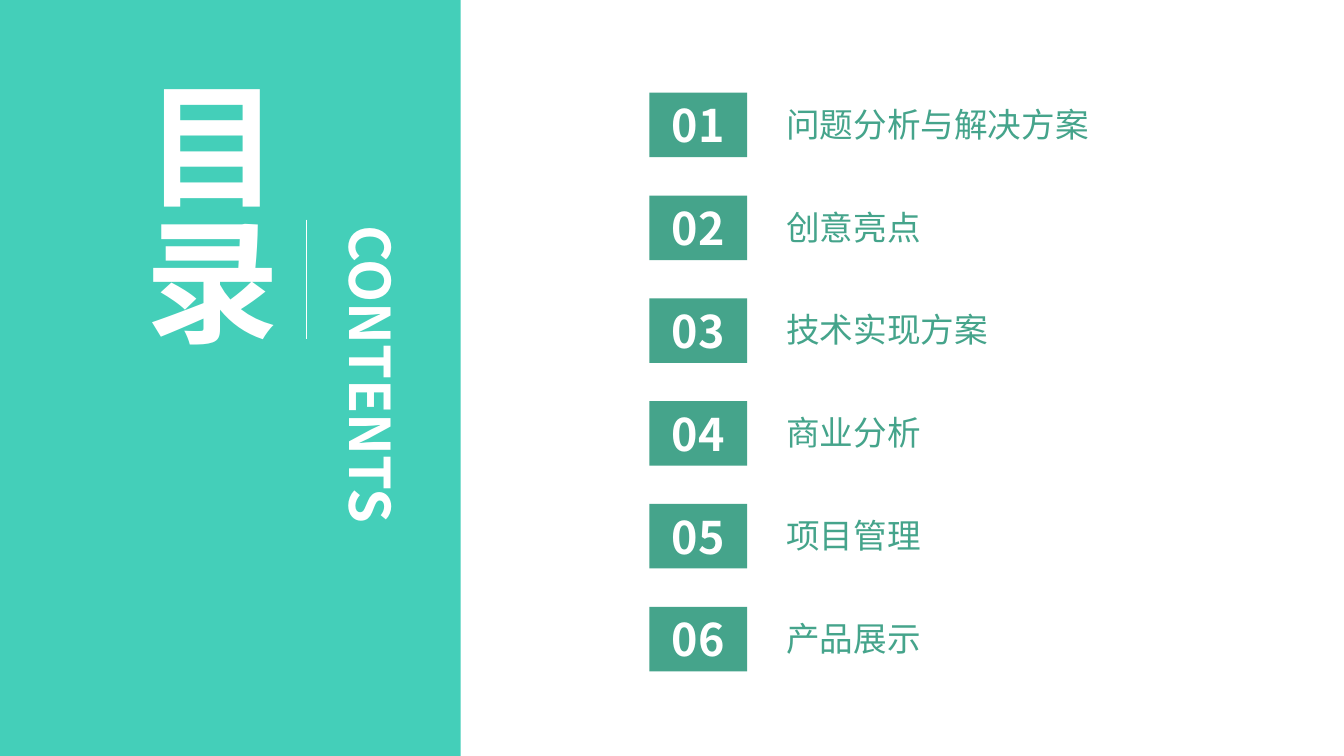
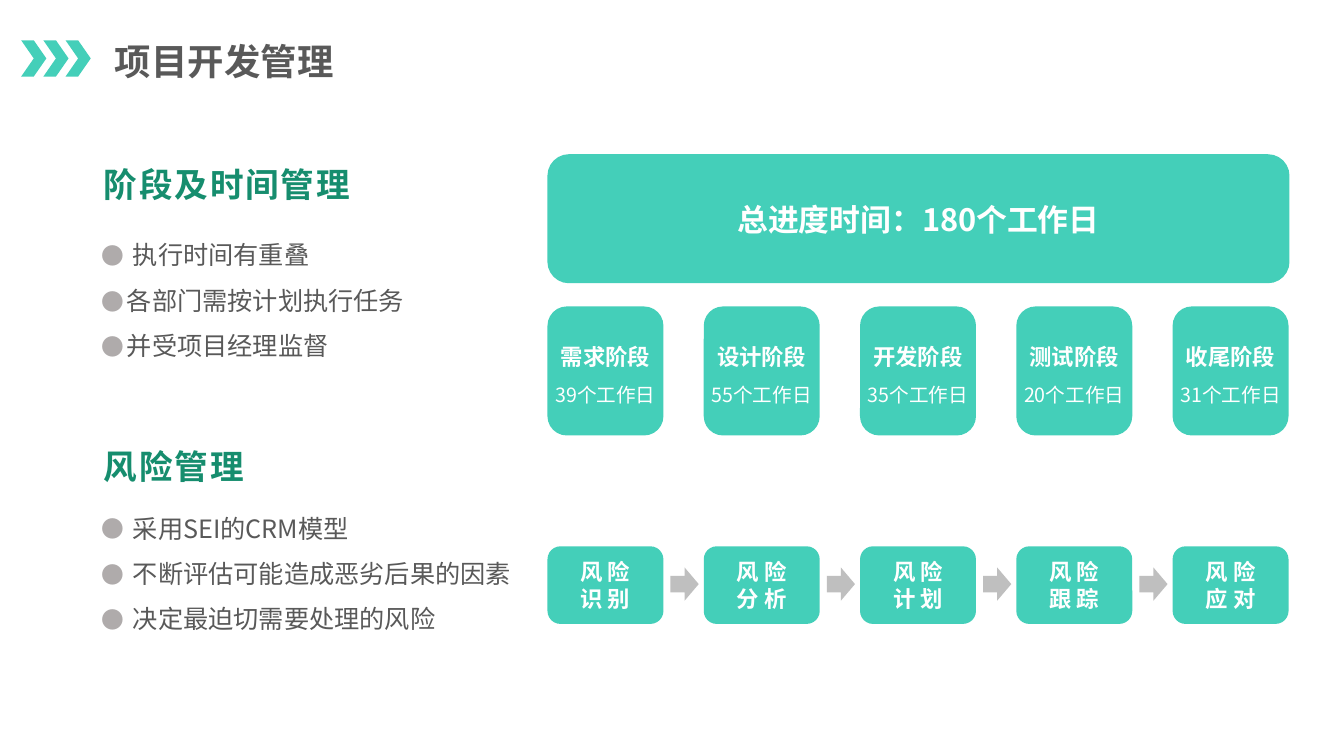
from dataclasses import dataclass

import pptx
import pptx.dml.color
import pptx.enum.shapes
import pptx.enum.text
import pptx.oxml.ns
import pptx.util
from lxml import etree

Inches = pptx.util.Inches
Pt = pptx.util.Pt
qn = pptx.oxml.ns.qn
Shape = pptx.enum.shapes.MSO_SHAPE
Align = pptx.enum.text.PP_ALIGN
Anchor = pptx.enum.text.MSO_ANCHOR
AutoSize = pptx.enum.text.MSO_AUTO_SIZE


@dataclass(frozen=True)
class Theme:
    font: str = "Noto Sans CJK SC"
    teal: str = "44CFB9"
    green: str = "45A48B"
    dark_green: str = "168D6E"
    gray: str = "595959"
    bullet_gray: str = "AFABAB"
    arrow_gray: str = "BFBFBF"
    white: str = "FFFFFF"
    display_size: int = 96
    subtitle_size: int = 40
    number_size: int = 32
    title_size: int = 26
    heading_size: int = 24
    banner_size: int = 22
    body_size: int = 18
    card_size: int = 16
    note_size: int = 14


THEME = Theme()


def rgb(color):
    return pptx.dml.color.RGBColor.from_string(color)


class Deck:
    def __init__(self, theme):
        self.theme = theme
        self.presentation = pptx.Presentation()
        self.presentation.slide_width = Inches(13.33)
        self.presentation.slide_height = Inches(7.5)
        self.slide = None

    def new_slide(self):
        self.slide = self.presentation.slides.add_slide(
            self.presentation.slide_layouts[6])

    def add_run(self, paragraph, text, size, color, bold=False, spacing=0):
        run = paragraph.add_run()
        run.text = text
        run.font.size = Pt(size)
        run.font.bold = bold
        run.font.color.rgb = rgb(color)
        run.font.name = self.theme.font
        properties = run.font._element
        etree.SubElement(properties, qn("a:ea"), typeface=self.theme.font)
        if spacing:
            properties.set("spc", str(round(spacing * 100)))

    def block(self, preset, left, top, width, height, color, lines=(),
              space_before=0, top_inset=0):
        """Filled shape with centred white lines, each (text, size, bold)."""
        shape = self.slide.shapes.add_shape(
            preset, Inches(left), Inches(top), Inches(width), Inches(height))
        shape.shadow.inherit = False
        shape.fill.solid()
        shape.fill.fore_color.rgb = rgb(color)
        shape.line.fill.background()
        frame = shape.text_frame
        frame.vertical_anchor = Anchor.MIDDLE
        frame.margin_left = frame.margin_right = frame.margin_bottom = 0
        frame.margin_top = Inches(top_inset)
        for index, (text, size, bold) in enumerate(lines):
            paragraph = frame.add_paragraph() if index else frame.paragraphs[0]
            paragraph.alignment = Align.CENTER
            if index:
                paragraph.space_before = Pt(space_before)
            self.add_run(paragraph, text, size, self.theme.white, bold)

    def text_box(self, left, top, width, height, wrap=True, grow=True,
                 insets=(0.1, 0.05)):
        shape = self.slide.shapes.add_textbox(
            Inches(left), Inches(top), Inches(width), Inches(height))
        frame = shape.text_frame
        frame.word_wrap = wrap
        frame.auto_size = AutoSize.SHAPE_TO_FIT_TEXT if grow else AutoSize.NONE
        frame.margin_left = frame.margin_right = Inches(insets[0])
        frame.margin_top = frame.margin_bottom = Inches(insets[1])
        return shape

    def label(self, box, text, size, color, bold=False, spacing=0):
        self.add_run(box.text_frame.paragraphs[0], text, size, color, bold,
                     spacing)

    def vertical_rule(self, left, top, bottom):
        line = self.slide.shapes.add_connector(
            pptx.enum.shapes.MSO_CONNECTOR.STRAIGHT,
            Inches(left), Inches(top), Inches(left), Inches(bottom))
        line.line.color.rgb = rgb(self.theme.white)
        line.line.width = Pt(1)
        etree.SubElement(line.element.spPr, qn("a:effectLst"))

    def slide_title(self, text):
        for index in range(3):
            self.block(Shape.CHEVRON, 0.21 + index * 0.22, 0.4, 0.25, 0.36,
                       self.theme.teal)
        box = self.text_box(1.07, 0.35, 4.72, 0.51, insets=(0.07, 0.04))
        self.label(box, text, self.theme.title_size, self.theme.gray, True)

    def section_heading(self, top, text):
        box = self.text_box(1.03, top, 2.64, 0.47, grow=False, insets=(0, 0))
        box.text_frame.vertical_anchor = Anchor.MIDDLE
        box.text_frame.paragraphs[0].line_spacing = 0.9
        self.label(box, text, self.theme.heading_size, self.theme.dark_green,
                   True, 1.3)

    def bullets(self, top, items):
        """Bulleted list; each item is (text, hanging indent in inches)."""
        frame = self.text_box(0.91, top, 4.71, 1.46).text_frame
        for index, (text, indent) in enumerate(items):
            paragraph = frame.add_paragraph() if index else frame.paragraphs[0]
            paragraph.line_spacing = 1.5
            self.add_run(paragraph, text, self.theme.body_size, self.theme.gray)
            properties = paragraph._p.get_or_add_pPr()
            properties.set("marL", str(Inches(indent)))
            properties.set("indent", str(-Inches(indent)))
            bullet_color = etree.SubElement(properties, qn("a:buClr"))
            etree.SubElement(bullet_color, qn("a:srgbClr"),
                             val=self.theme.bullet_gray)
            etree.SubElement(properties, qn("a:buSzPct"), val="90000")
            etree.SubElement(properties, qn("a:buFont"),
                             typeface=self.theme.font)
            etree.SubElement(properties, qn("a:buChar"), char="●")


def build_contents(deck):
    theme = deck.theme
    deck.new_slide()
    deck.block(Shape.RECTANGLE, 0, 0, 4.57, 7.5, theme.teal)

    title = deck.text_box(1.09, 0.68, 1.82, 4.65)
    title.element.find(".//" + qn("a:bodyPr")).set("vert", "eaVert")
    deck.label(title, "目录", theme.display_size, theme.white, True, 1)
    deck.vertical_rule(3.04, 2.18, 3.36)
    subtitle = deck.text_box(2.02, 3.42, 3.34, 0.77, wrap=False)
    subtitle.rotation = 90
    deck.label(subtitle, "CONTENTS", theme.subtitle_size, theme.white, True)

    chapters = [
        ("问题分析与解决方案", 3.23),
        ("创意亮点", 1.55),
        ("技术实现方案", 2.22),
        ("商业分析", 1.55),
        ("项目管理", 1.55),
        ("产品展示", 1.55),
    ]
    for index, (chapter, width) in enumerate(chapters):
        top = 0.92 + index * 1.02
        deck.block(Shape.RECTANGLE, 6.44, top, 0.97, 0.64, theme.green,
                   [(f"{index + 1:02d}", theme.number_size, True)])
        box = deck.text_box(7.7, top + 0.06, width, 0.5, wrap=False)
        deck.label(box, chapter, theme.heading_size, theme.green)


def build_project_management(deck):
    theme = deck.theme
    deck.new_slide()
    deck.slide_title("项目开发管理")

    deck.section_heading(1.62, "阶段及时间管理")
    deck.bullets(2.18, [
        ("执行时间有重叠", 0.31),
        ("各部门需按计划执行任务", 0.25),
        ("并受项目经理监督", 0.25),
    ])
    deck.section_heading(4.41, "风险管理")
    deck.bullets(4.89, [
        ("采用SEI的CRM模型", 0.31),
        ("不断评估可能造成恶劣后果的因素", 0.31),
        ("决定最迫切需要处理的风险", 0.31),
    ])

    first_left, step, card_width = 5.43, 1.55, 1.15
    deck.block(Shape.ROUNDED_RECTANGLE, first_left, 1.53, 7.36, 1.28,
               theme.teal,
               [("总进度时间：180个工作日", theme.banner_size, True)])

    phases = [("需求", 39), ("设计", 55), ("开发", 35), ("测试", 20),
              ("收尾", 31)]
    for index, (phase, days) in enumerate(phases):
        deck.block(Shape.ROUNDED_RECTANGLE, first_left + index * step, 3.04,
                   card_width, 1.28, theme.teal,
                   [(f"{phase}阶段", theme.card_size, True),
                    (f"{days}个工作日", theme.note_size, False)],
                   space_before=9, top_inset=0.08)

    risk_steps = ["识 别", "分 析", "计 划", "跟 踪", "应 对"]
    for index, risk_step in enumerate(risk_steps):
        left = first_left + index * step
        deck.block(Shape.ROUNDED_RECTANGLE, left, 5.42, card_width, 0.77,
                   theme.teal,
                   [("风 险", theme.card_size, True),
                    (risk_step, theme.card_size, True)])
        if index < len(risk_steps) - 1:
            deck.block(Shape.RIGHT_ARROW, left + 1.22, 5.63, 0.28, 0.33,
                       theme.arrow_gray)


def main():
    deck = Deck(THEME)
    build_contents(deck)
    build_project_management(deck)
    deck.presentation.save("out.pptx")


if __name__ == "__main__":
    main()
